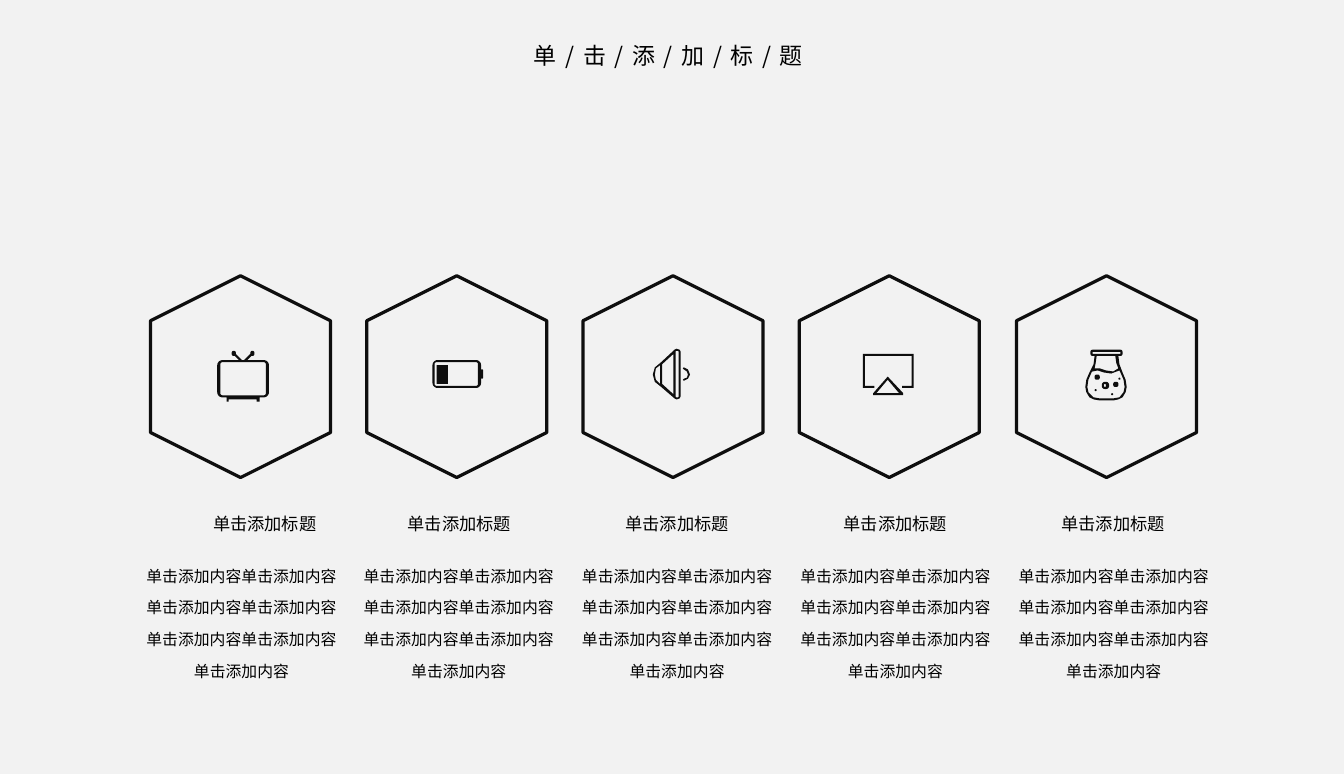
import math
import pptx
import pptx.util
import pptx.dml.color
import pptx.enum.shapes
import pptx.enum.text
from lxml import etree

PX = 9144  # 100 px to the inch
FONT = "Noto Sans CJK SC"
BLACK = pptx.dml.color.RGBColor(0x00, 0x00, 0x00)
INK = pptx.dml.color.RGBColor(0x0E, 0x0E, 0x0E)
PAPER = pptx.dml.color.RGBColor(0xF2, 0xF2, 0xF2)


def write(box, text, size, wrap=True, inset=(5, 2), space=1.0, track=0):
    frame = box.text_frame
    frame.word_wrap = wrap
    frame.auto_size = pptx.enum.text.MSO_AUTO_SIZE.NONE
    frame.vertical_anchor = pptx.enum.text.MSO_ANCHOR.TOP
    frame.margin_left = frame.margin_right = inset[0] * PX
    frame.margin_top = frame.margin_bottom = inset[1] * PX
    para = frame.paragraphs[0]
    para.alignment = pptx.enum.text.PP_ALIGN.CENTER
    para.line_spacing = space
    run = para.add_run()
    run.text = text
    run.font.size = pptx.util.Pt(size)
    run.font.name = FONT
    run.font.color.rgb = BLACK
    props = run._r.get_or_add_rPr()
    if track:
        props.set("spc", str(track * 100))
    east = etree.SubElement(props, pptx.oxml.ns.qn("a:ea"))
    east.set("typeface", FONT)


def curve(left, top, right, bottom, rad):
    """Outline of a rectangle with round corners."""
    mids = [(right - rad, bottom - rad), (left + rad, bottom - rad),
            (left + rad, top + rad), (right - rad, top + rad)]
    dots = []
    for turn, (x, y) in enumerate(mids):
        for step in range(7):
            angle = math.radians(90 * turn + 15 * step)
            dots.append((x + rad * math.cos(angle), y + rad * math.sin(angle)))
    return dots


# Icon outlines, each from its own top left corner; inner outlines are holes
TV = [
    curve(0, 9, 50, 45, 5), curve(3, 11, 47, 43, 2),
    curve(14, 0, 18, 5, 2), curve(32, 0, 36, 5, 2),
    [(17, 5), (21, 9), (24, 9), (18, 3)],
    [(33, 5), (29, 9), (26, 9), (32, 3)],
    [(9, 45), (41, 45), (41, 49), (38, 49), (38, 47), (11, 47), (11, 49), (9, 49)],
]
CELL = [
    curve(0, 0, 47, 27, 5), curve(2, 2, 44, 25, 2),
    curve(47, 9, 49, 18, 1), curve(4, 5, 15, 23, 0),
]
HORN = [
    [(27, 3), (26, 1), (23, 0), (21, 1), (7, 14), (2, 18), (0, 25), (2, 32),
     (7, 36), (21, 48), (23, 49), (26, 48), (27, 46)],
    curve(22, 2, 25, 47, 1),
    [(9, 15), (20, 5), (20, 44), (9, 34)],
    [(7, 16), (3, 19), (2, 25), (3, 30), (7, 34)],
    [(29, 19), (30, 18), (34, 20), (36, 25), (34, 29), (30, 31),
     (29, 30), (30, 29), (33, 28), (34, 25), (33, 22), (30, 20)],
]
SCREEN = [
    [(0, 0), (49, 0), (49, 33), (38, 33), (38, 31), (47, 31),
     (47, 2), (2, 2), (2, 31), (11, 31), (11, 33), (0, 33)],
    [(24, 22), (39, 38), (39, 40), (10, 40), (10, 38)],
    [(24, 25), (35, 38), (13, 38)],
]
FLASK = [
    curve(5, 0, 36, 6, 2), curve(7, 2, 34, 4, 0),
    [(9, 6), (8, 14), (4, 22), (1, 29), (0, 36), (1, 41), (4, 46), (8, 48), (14, 49),
     (27, 49), (32, 48), (36, 46), (39, 41), (40, 36), (39, 29), (36, 22), (33, 14), (32, 6)],
    [(11, 6), (29, 6), (30, 13), (32, 18), (27, 21), (20, 20), (14, 18), (9, 18), (10, 13)],
    [(7, 21), (12, 20), (18, 22), (25, 23), (33, 20), (34, 22), (37, 29), (38, 36), (37, 41),
     (33, 46), (27, 47), (14, 47), (8, 46), (3, 41), (2, 36), (3, 29), (6, 22)],
    curve(16, 31, 23, 38, 3), curve(18, 33, 20, 36, 1),
    curve(27, 31, 32, 36, 2), curve(9, 24, 14, 29, 2),
    curve(32, 27, 34, 29, 1), curve(9, 38, 11, 40, 1), curve(25, 42, 27, 44, 1),
]

# Slide and title
deck = pptx.Presentation()
deck.slide_width, deck.slide_height = 1299 * PX, 748 * PX
slide = deck.slides.add_slide(deck.slide_layouts[5])
slide.background.fill.solid()
slide.background.fill.fore_color.rgb = PAPER
shapes = slide.shapes
title = shapes.title
title.left, title.top, title.width, title.height = 193 * PX, 35 * PX, 906 * PX, 64 * PX
write(title, "单/击/添/加/标/题", 16, inset=(10, 5), track=6)

# Five columns: icon, its left and top, heading left and width
columns = [
    (TV, 210, 339, 178, 156),
    (CELL, 418, 348, 388, 112),
    (HORN, 631, 337, 589, 131),
    (SCREEN, 834, 342, 805, 121),
    (FLASK, 1049, 338, 1021, 110),
]
for i, (icon, left, top, start, width) in enumerate(columns):
    # Hexagon
    hexa = shapes.add_shape(pptx.enum.shapes.MSO_SHAPE.HEXAGON,
                            (135 + i * 837 // 4) * PX, 277 * PX, 195 * PX, 174 * PX)
    hexa.adjustments[0] = 0.25
    hexa.rotation = 270
    hexa.shadow.inherit = False
    hexa.fill.background()
    hexa.line.color.rgb = INK
    hexa.line.width = pptx.util.Pt(2.25)

    # Icon
    rings = [[(round((left + x) * PX), round((top + y) * PX)) for x, y in ring]
             for ring in icon]
    pen = shapes.build_freeform(*rings[0][0])
    for ring in rings:
        pen.move_to(*ring[0])
        pen.add_line_segments(ring[1:], close=True)
    sign = pen.convert_to_shape()
    sign.shadow.inherit = False
    sign.fill.solid()
    sign.fill.fore_color.rgb = INK
    sign.line.fill.background()

    # Heading and body text
    head = shapes.add_textbox(start * PX, 494 * PX, width * PX, 25 * PX)
    write(head, "单击添加标题", 12, wrap=False)
    body = shapes.add_textbox((136 + i * 843 // 4) * PX, 533 * PX, 195 * PX, 131 * PX)
    write(body, "单击添加内容" * 7, 11, space=1.67)

deck.save("out.pptx")
